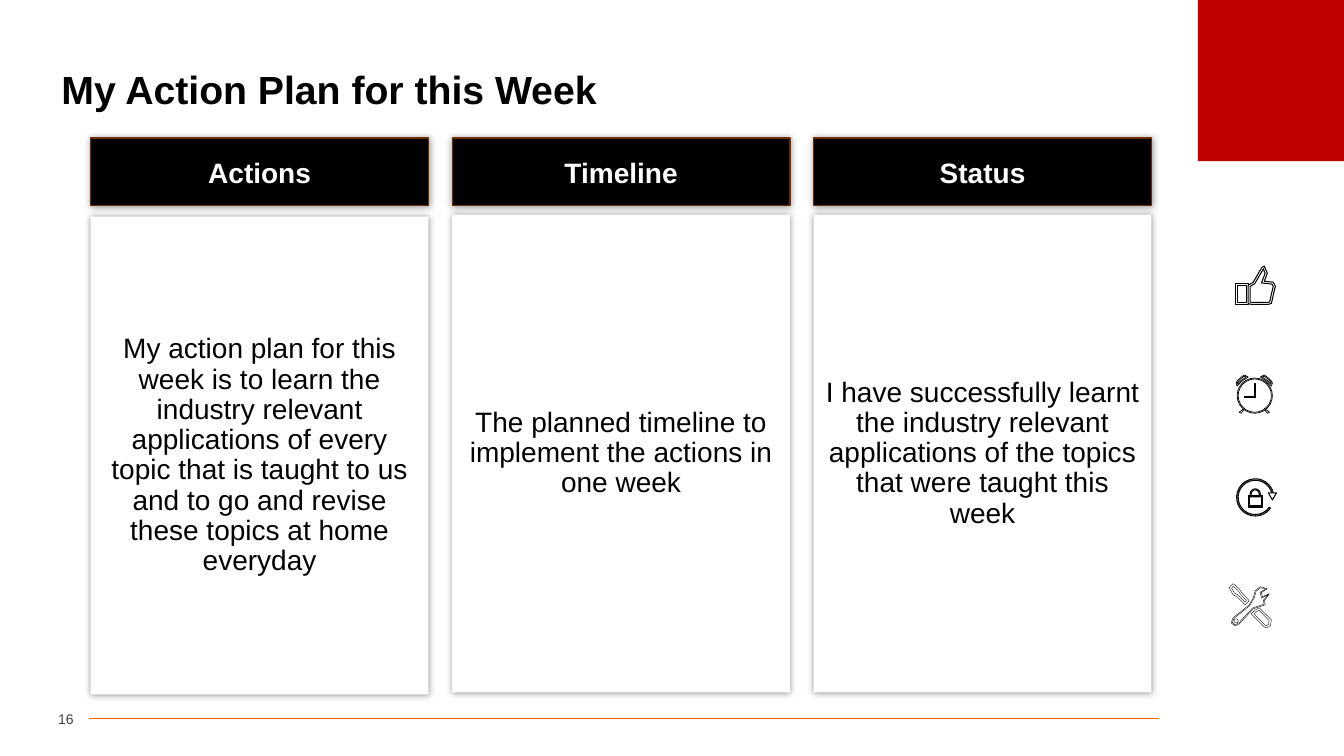
"""Builds the weekly action plan slide."""
from math import cos, hypot, radians, sin

from lxml import etree
from pptx import Presentation
from pptx.dml.color import RGBColor
from pptx.enum.shapes import MSO_CONNECTOR, MSO_SHAPE
from pptx.enum.text import MSO_ANCHOR, PP_ALIGN
from pptx.oxml.ns import qn
from pptx.util import Inches, Pt

RECTANGLE = MSO_SHAPE.RECTANGLE
STRAIGHT = MSO_CONNECTOR.STRAIGHT
MIDDLE = MSO_ANCHOR.MIDDLE
LEFT, CENTER, RIGHT = PP_ALIGN.LEFT, PP_ALIGN.CENTER, PP_ALIGN.RIGHT
TITLE_ONLY = 5

BLACK, WHITE, RED = "000000", "FFFFFF", "C00000"
ORANGE, BROWN, GRAY = "FF6600", "702D00", "404040"

FIRST_COLUMN, LAST_COLUMN, COLUMN_WIDTH = 0.9, 8.07, 3.35
HEADER_TOP, HEADER_HEIGHT, CARD_HEIGHT = 1.37, 0.67, 4.74
COLUMNS = [
    ("Actions", 2.15, "My action plan for this week is to learn the industry relevant "
     "applications of every topic that is taught to us and to go and revise these "
     "topics at home everyday"),
    ("Timeline", 2.13, "The planned timeline to implement the actions in one week"),
    ("Status", 2.13, "I have successfully learnt the industry relevant applications "
     "of the topics that were taught this week"),
]


def color(value):
    return RGBColor.from_string(value)


def write(shape, text, size=20, ink=BLACK, bold=False, align=CENTER,
          line_spacing=1.0, space_before=0, font="Arial"):
    frame = shape.text_frame
    frame.word_wrap = True
    frame.vertical_anchor = MIDDLE
    paragraph = frame.paragraphs[0]
    paragraph.alignment = align
    paragraph.line_spacing = line_spacing
    paragraph.space_before = Pt(space_before)
    run = paragraph.add_run()
    run.text = text
    run.font.name = font
    run.font.size = Pt(size)
    run.font.bold = bold
    run.font.color.rgb = color(ink)


def arc(center_x, center_y, radius, start=0, end=360, steps=24):
    angles = [radians(start + (end - start) * i / steps) for i in range(steps + 1)]
    return [(center_x + radius * cos(a), center_y + radius * sin(a)) for a in angles]


def box(left, top, right, bottom):
    return [(left, top), (right, top), (right, bottom), (left, bottom)]


def mirrored(contours, axis=45):
    return [[(2 * axis - x, y) for x, y in contour] for contour in contours]


def inward_normal(start, end):
    across, down = end[0] - start[0], end[1] - start[1]
    length = hypot(across, down)
    return -down / length, across / length


def double_line(clockwise, gap):
    inner = []
    for i, (x, y) in enumerate(clockwise):
        following = clockwise[(i + 1) % len(clockwise)]
        before_x, before_y = inward_normal(clockwise[i - 1], (x, y))
        after_x, after_y = inward_normal((x, y), following)
        cosine = before_x * after_x + before_y * after_y
        reach = gap / max(1 + cosine, 0.5)
        inner.append((x + (before_x + after_x) * reach,
                      y + (before_y + after_y) * reach))
    return [clockwise, inner]


class ActionPlanSlide:
    def __init__(self, presentation):
        layout = presentation.slide_layouts[TITLE_ONLY]
        self.shapes = presentation.slides.add_slide(layout).shapes

    def title(self, text, left, top, width, height):
        title = self.shapes.title
        title.left, title.top = Inches(left), Inches(top)
        title.width, title.height = Inches(width), Inches(height)
        write(title, text, size=28, bold=True, align=LEFT, line_spacing=0.9)

    def rule(self, left, right, y, ink, width):
        line = self.shapes.add_connector(
            STRAIGHT, Inches(left), Inches(y), Inches(right), Inches(y))
        line.line.color.rgb = color(ink)
        line.line.width = Pt(width)
        etree.SubElement(line._element.spPr, qn("a:effectLst"))

    def paint(self, shape, fill, line=None, width=1):
        shape.shadow.inherit = False
        shape.fill.solid()
        shape.fill.fore_color.rgb = color(fill)
        if line:
            shape.line.color.rgb = color(line)
            shape.line.width = Pt(width)
        else:
            shape.line.fill.background()

    def block(self, left, top, width, height, fill, line=None):
        shape = self.shapes.add_shape(
            RECTANGLE, Inches(left), Inches(top), Inches(width), Inches(height))
        self.paint(shape, fill, line)
        return shape

    def glow(self, shape, blur=5, opacity=40):
        effects = shape._element.spPr.find(qn("a:effectLst"))
        shadow = etree.SubElement(effects, qn("a:outerShdw"), blurRad=str(Pt(blur)),
                                  dist="0", dir="0", algn="ctr", rotWithShape="0")
        ink = etree.SubElement(shadow, qn("a:srgbClr"), val=BLACK)
        etree.SubElement(ink, qn("a:alpha"), val=str(opacity * 1000))

    def column(self, left, heading, card_top, body):
        card = self.block(left, card_top, COLUMN_WIDTH, CARD_HEIGHT, WHITE)
        header = self.block(left, HEADER_TOP, COLUMN_WIDTH, HEADER_HEIGHT, BLACK, BROWN)
        for shape in (card, header):
            self.glow(shape)
        write(card, body, line_spacing=0.9, space_before=10)
        write(header, heading, ink=WHITE, bold=True)

    def page_number(self, text, left, top, width, height):
        number = self.shapes.add_textbox(
            Inches(left), Inches(top), Inches(width), Inches(height))
        number.text_frame.margin_left = number.text_frame.margin_right = 0
        write(number, text, size=10, ink=GRAY, align=RIGHT)

    def outline(self, left, top, contours, line_width):
        placed = [[(Inches(left + x / 100), Inches(top + y / 100)) for x, y in contour]
                  for contour in contours]
        builder = self.shapes.build_freeform(*placed[0][0])
        for contour in placed:
            if contour is not placed[0]:
                builder.move_to(*contour[0])
            builder.add_line_segments(contour[1:], close=True)
        self.paint(builder.convert_to_shape(), WHITE, BLACK, line_width)

    def icon(self, left, top, line_width, parts):
        for contours in parts:
            self.outline(left, top, contours, line_width)


def thumb_icon():
    cuff = box(26, 38, 39, 59)
    hand = [(39, 40), (44, 37), (51, 25), (53, 22), (55, 21), (58, 28), (55, 36),
            (64, 37), (66, 41), (64, 49), (63, 54), (62, 58), (59, 59), (42, 59),
            (39, 58)]
    return [double_line(cuff, 2), double_line(hand, 2)]


def clock_icon():
    bell = double_line([(51, 27), (55, 25), (59, 28), (62, 31), (63, 33), (62, 36),
                        (57, 31)], 1)
    leg = [[(58, 63), (55, 59), (55, 58), (60, 62)]]
    face = double_line(arc(45.5, 45.5, 17.5)[:-1], 1)
    hands = [[(46, 47), (35, 47), (35, 46), (45, 46), (45, 33), (46, 33)]]
    return [bell, mirrored(bell), leg, mirrored(leg), face, hands]


def lock_icon():
    ring = [arc(46, 44.5, 18.5, 0, -325) + arc(46, 44.5, 17, -325, 0)]
    arrowhead = [[(59, 40), (63, 47), (67, 40)]]
    shackle = [(41, 44)] + arc(46, 41, 5, 180, 360, steps=8) + [(51, 44)]
    body = box(39, 43, 53, 54)
    return [ring, arrowhead, double_line(shackle, 1), double_line(body, 1)]


def tools_icon():
    handle = [(48, 51), (53, 48), (65, 60), (64, 66), (60, 68), (58, 67), (45, 54)]
    screwdriver = [(23, 28), (27, 24), (33, 29), (35, 32), (43, 41), (39, 45),
                   (31, 37), (27, 35)]
    wrench = [(27, 58), (43, 45), (47, 38), (49, 31), (54, 27), (61, 29), (55, 33),
              (56, 37), (63, 34), (58, 41), (59, 45), (47, 49), (33, 64), (29, 66),
              (25, 63)]
    hole = arc(30, 61, 2)
    return [double_line(handle, 2), double_line(screwdriver, 2),
            double_line(wrench, 1) + [hole]]


def main():
    presentation = Presentation()
    presentation.slide_width, presentation.slide_height = Inches(13.33), Inches(7.5)
    plan = ActionPlanSlide(presentation)
    plan.rule(0.88, 11.5, 7.13, ORANGE, 0.5)
    plan.block(11.88, 0, 1.45, 1.6, RED)
    plan.title("My Action Plan for this Week", 0.51, 0.52, 12.31, 0.78)
    plan.page_number("16", 0.33, 6.99, 0.4, 0.29)
    pitch = (LAST_COLUMN - FIRST_COLUMN) / (len(COLUMNS) - 1)
    for i, column in enumerate(COLUMNS):
        plan.column(FIRST_COLUMN + i * pitch, *column)
    plan.icon(11.99, 2.43, 0.75, thumb_icon())
    plan.icon(11.99, 3.47, 0.5, clock_icon())
    plan.icon(11.99, 4.49, 0.75, lock_icon())
    plan.icon(11.96, 5.55, 0.25, tools_icon())
    presentation.save("out.pptx")


if __name__ == "__main__":
    main()
